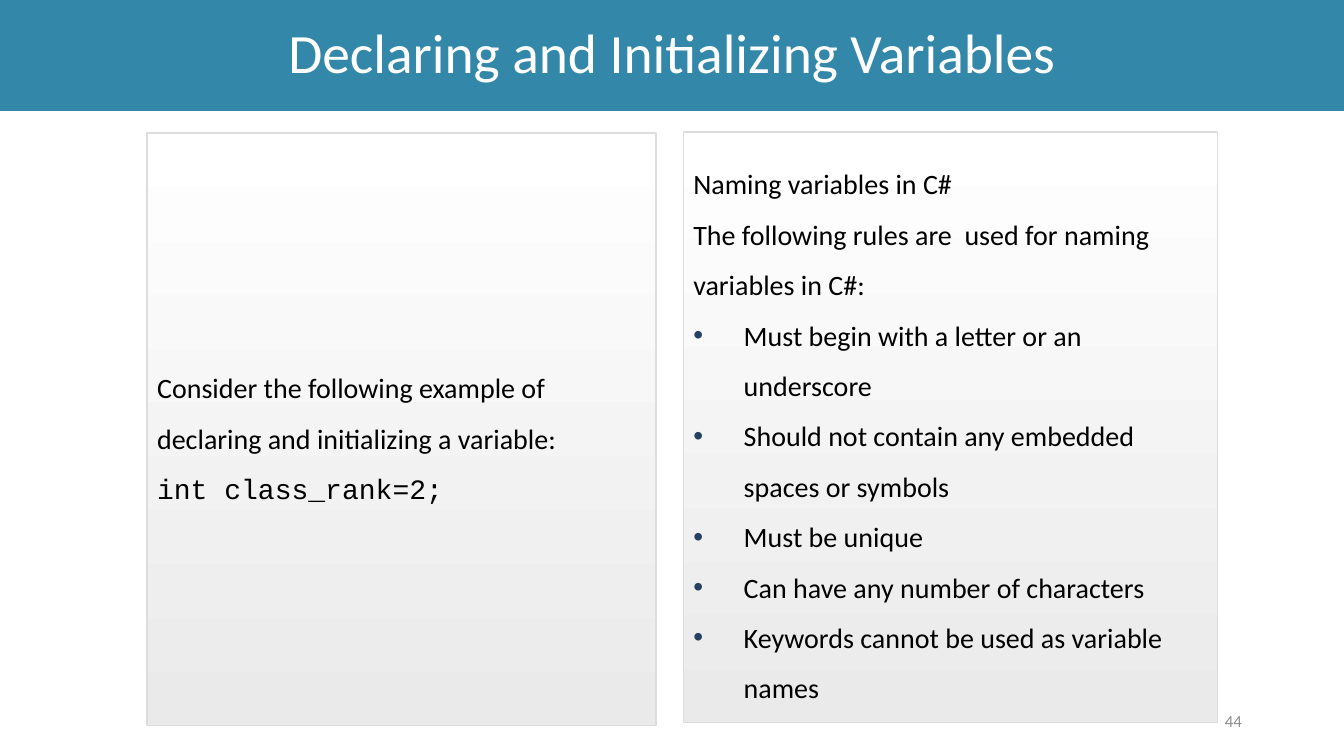
import pptx
import pptx.util
import pptx.dml.color
import pptx.enum.shapes
import pptx.enum.text
from lxml import etree

Pt = pptx.util.Pt
ALIGN = pptx.enum.text.PP_ALIGN

# Content
TITLE = "Declaring and Initializing Variables"
PAGE_NUMBER = "44"
BODY_FONT, CODE_FONT = "Calibri", "Courier New"
# Each panel: (left, top, width, height), then lines of (kind, text)
PANELS = [
    ((105.12, 95.04, 363.6, 423.36), [
        ("plain", "Consider the following example of declaring and initializing a variable:"),
        ("code", "int class_rank=2;"),
    ]),
    ((488.16, 94.32, 381.6, 421.92), [
        ("plain", "Naming variables in C#"),
        ("plain", "The following rules are  used for naming variables in C#:"),
        ("bullet", "Must begin with a letter or an underscore"),
        ("bullet", "Should not contain any embedded spaces or symbols"),
        ("bullet", "Must be unique"),
        ("bullet", "Can have any number of characters"),
        ("bullet", "Keywords cannot be used as variable names"),
    ]),
]
BULLET_INDENT = 36
BULLET_COLOUR = "254061"


def colour(hex_string):
    return pptx.dml.color.RGBColor.from_string(hex_string)


def add_box(slide, box):
    shape = slide.shapes.add_shape(
        pptx.enum.shapes.MSO_SHAPE.RECTANGLE, *(Pt(length) for length in box))
    shape.shadow.inherit = False
    return shape


def prepare_frame(shape):
    frame = shape.text_frame
    frame.word_wrap = True
    frame.vertical_anchor = pptx.enum.text.MSO_ANCHOR.MIDDLE
    return frame


def write(paragraph, text, size, hex_string, alignment, spacing=1.0, font=BODY_FONT):
    paragraph.alignment = alignment
    paragraph.line_spacing = spacing
    run = paragraph.add_run()
    run.text = text
    run.font.name = font
    run.font.size = Pt(size)
    run.font.color.rgb = colour(hex_string)


def add_bullet(paragraph):
    properties = paragraph._p.get_or_add_pPr()
    properties.set("marL", str(Pt(BULLET_INDENT)))
    properties.set("indent", str(-Pt(BULLET_INDENT)))
    namespace = "{http://schemas.openxmlformats.org/drawingml/2006/main}"
    bullet_colour = etree.SubElement(properties, namespace + "buClr")
    etree.SubElement(bullet_colour, namespace + "srgbClr", val=BULLET_COLOUR)
    etree.SubElement(properties, namespace + "buFont", typeface="Arial")
    etree.SubElement(properties, namespace + "buChar", char="•")


def add_panel(slide, box, lines):
    panel = add_box(slide, box)
    panel.fill.gradient()
    panel.fill.gradient_angle = 270
    for stop, hex_string in zip(panel.fill.gradient_stops, ("FFFFFF", "EAEAEA")):
        stop.color.rgb = colour(hex_string)
    panel.line.color.rgb = colour("DDDDDD")
    panel.line.width = Pt(1)
    frame = prepare_frame(panel)
    for index, (kind, text) in enumerate(lines):
        paragraph = frame.add_paragraph() if index else frame.paragraphs[0]
        if kind == "bullet":
            add_bullet(paragraph)
        font = CODE_FONT if kind == "code" else BODY_FONT
        write(paragraph, text, 20, "000000", ALIGN.LEFT, 1.5, font)


def main():
    presentation = pptx.Presentation()
    presentation.slide_width, presentation.slide_height = Pt(960), Pt(540)
    slide = presentation.slides.add_slide(presentation.slide_layouts[6])

    # Title band
    band = add_box(slide, (0, 0, 960, 79.2))
    band.fill.solid()
    band.fill.fore_color.rgb = colour("3388A9")
    band.line.fill.background()
    write(prepare_frame(band).paragraphs[0], TITLE, 39.6, "FFFFFF", ALIGN.CENTER, 0.9)

    # Page number
    number = slide.shapes.add_textbox(Pt(678.24), Pt(500.4), Pt(216), Pt(28.8))
    write(prepare_frame(number).paragraphs[0], PAGE_NUMBER, 12, "8C8C8C", ALIGN.RIGHT)

    # Text panels
    for box, lines in PANELS:
        add_panel(slide, box, lines)

    presentation.save("out.pptx")


if __name__ == "__main__":
    main()
